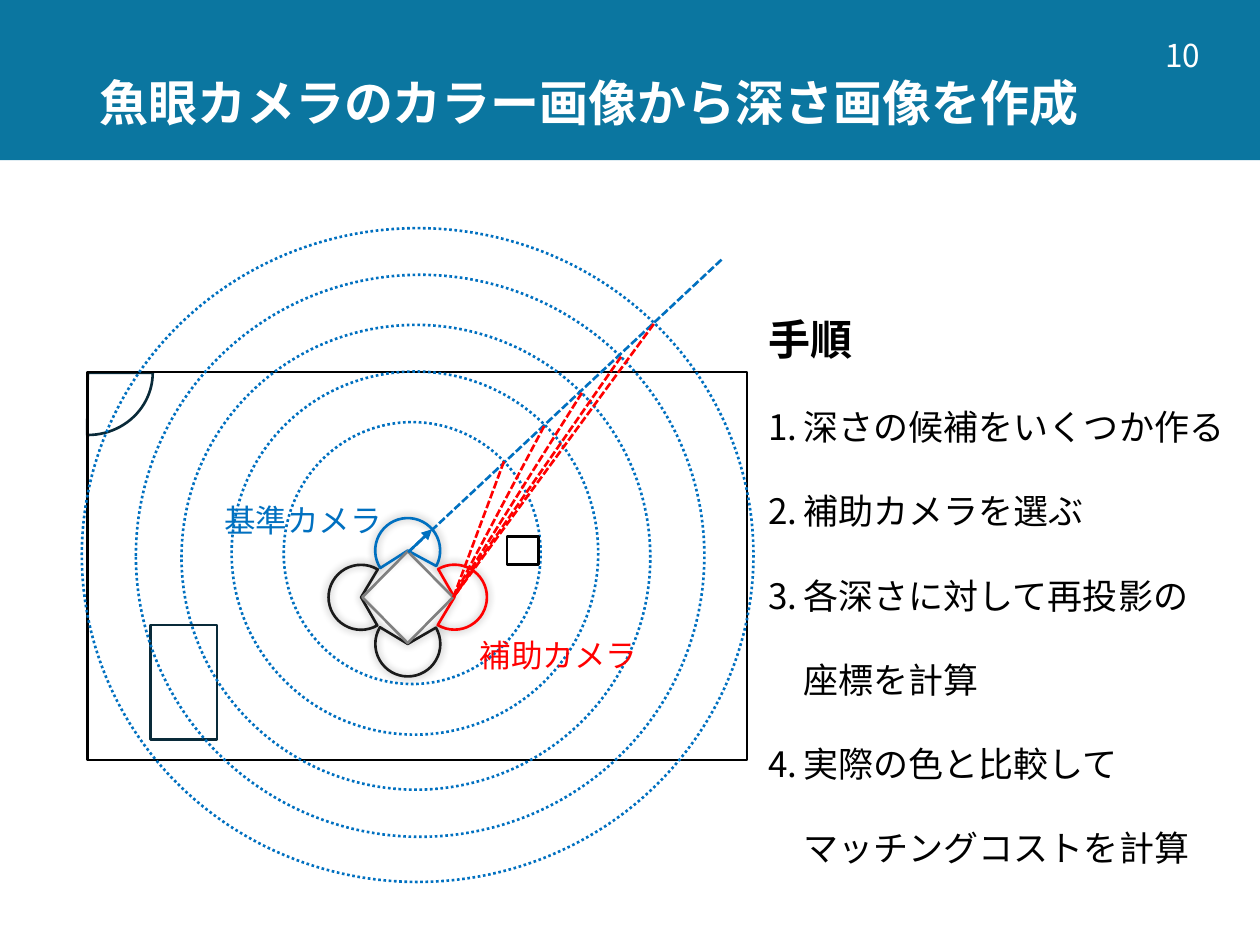
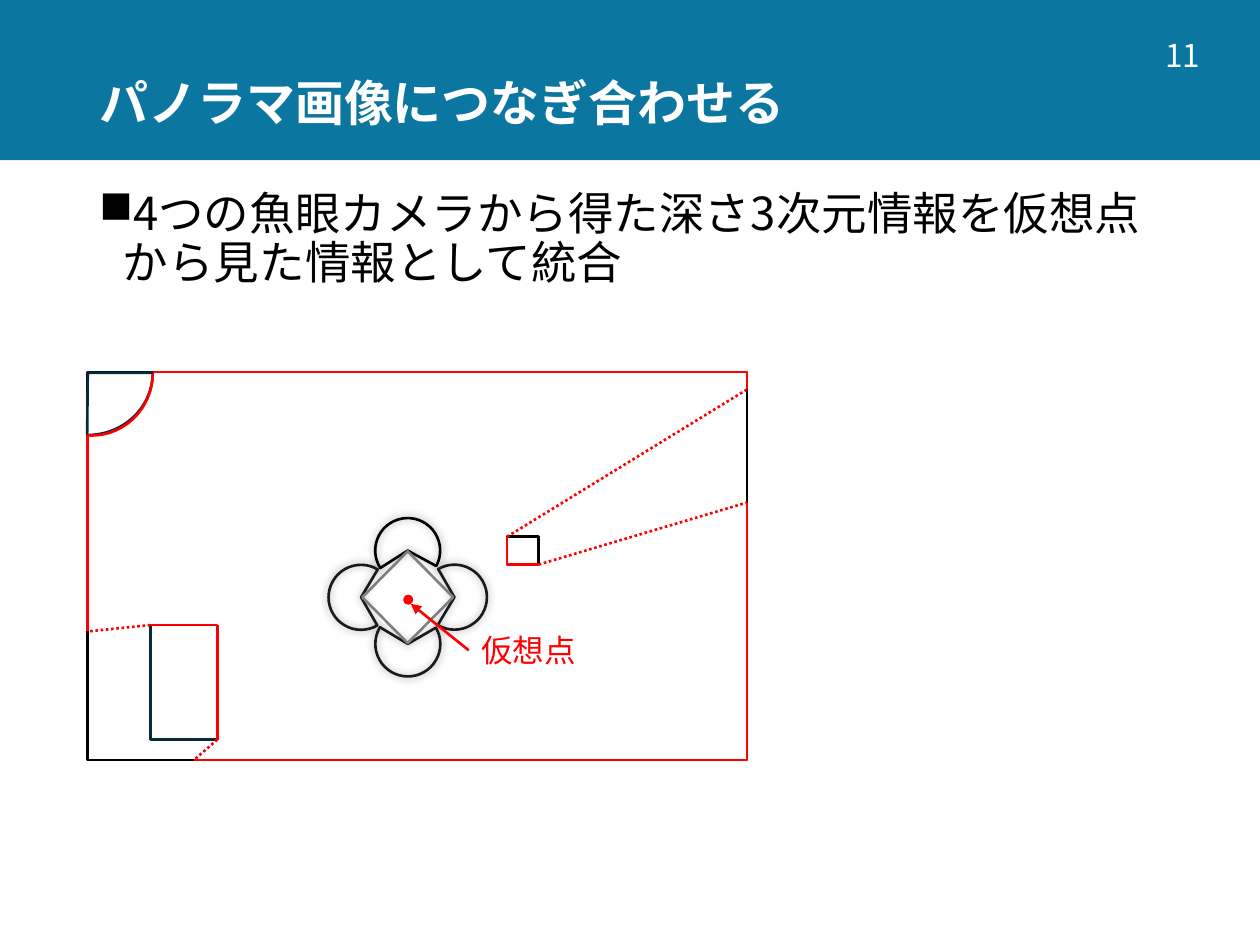
"""Build two slides on making depth images and a panorama from fisheye cameras."""
from dataclasses import dataclass
from math import cos, radians, sin

from lxml import etree
from pptx import Presentation
from pptx.dml.color import RGBColor
from pptx.enum.dml import MSO_LINE
from pptx.enum.shapes import MSO_CONNECTOR, MSO_SHAPE
from pptx.enum.text import MSO_ANCHOR, MSO_AUTO_SIZE, PP_ALIGN
from pptx.oxml.ns import qn
from pptx.util import Cm, Pt

RECTANGLE, DIAMOND = MSO_SHAPE.RECTANGLE, MSO_SHAPE.DIAMOND
CIRCLE, PIE, ARC = MSO_SHAPE.FLOWCHART_CONNECTOR, MSO_SHAPE.PIE, MSO_SHAPE.ARC
STRAIGHT = MSO_CONNECTOR.STRAIGHT
DOTTED, DASHED = MSO_LINE.ROUND_DOT, MSO_LINE.SQUARE_DOT
LEFT, CENTER = PP_ALIGN.LEFT, PP_ALIGN.CENTER
TOP, MIDDLE = MSO_ANCHOR.TOP, MSO_ANCHOR.MIDDLE
FIT_SHAPE, NO_FIT = MSO_AUTO_SIZE.SHAPE_TO_FIT_TEXT, MSO_AUTO_SIZE.NONE


@dataclass(frozen=True)
class Theme:
    font: str = "Noto Sans CJK JP"
    band: str = "0B76A0"
    white: str = "FFFFFF"
    black: str = "000000"
    camera: str = "1A1A1A"
    frame: str = "808080"
    furniture: str = "092A39"
    reference: str = "0070C0"
    highlight: str = "FF0000"
    title_size: int = 28
    body_size: int = 26
    heading_size: int = 24
    step_size: int = 20
    label_size: int = 18
    line_width: float = 1.5


THEME = Theme()

DEPTH_TITLE = "魚眼カメラのカラー画像から深さ画像を作成"
PANORAMA_TITLE = "パノラマ画像につなぎ合わせる"
PANORAMA_POINT = "4つの魚眼カメラから得た深さ3次元情報を仮想点から見た情報として統合"
STEPS_HEADING = "手順"
STEPS = [
    "深さの候補をいくつか作る",
    "補助カメラを選ぶ",
    "各深さに対して再投影の\n座標を計算",
    "実際の色と比較して\nマッチングコストを計算",
]

BAND = (0, 0, 25.4, 3.23)
TITLE_BOX = (1.75, 1.02, 21.9, 2.21)
NUMBER_BOX = (22.28, 0, 3.12, 2.21)
BODY_BOX = (1.75, 3.73, 21.9, 14.3)
STEPS_BOX = (15.24, 5.18, 10.03, 12.34)

ROOM = (1.76, 7.5, 13.3, 7.82)
CABINET = (3.03, 12.6, 1.35, 2.31)
CRATE = (10.22, 10.82, 0.64, 0.56)
CORNER = (0.46, 6.26, 2.62, 2.51)
CORNER_ARC = (0.62, 6.27, 2.46, 2.51)

RIG_CENTER = (8.22, 12.04)
CAMERA_OFFSET, CAMERA_SIZE = 0.94, 1.31
RIG_FRAME_SIZE = (1.83, 1.85)
TOP_CAMERA, RIGHT_CAMERA, BOTTOM_CAMERA, LEFT_CAMERA = 0, 90, 180, 270
CAMERA_TILT = {TOP_CAMERA: -2.5}

DEPTH_CIRCLES = [
    (1.65, 4.6, 13.54, 13.18),
    (2.74, 5.54, 11.46, 11.33),
    (3.66, 6.55, 9.45, 9.37),
    (4.67, 7.49, 7.39, 7.32),
    (5.72, 8.51, 5.18, 5.28),
]
REFERENCE_EYE, REFERENCE_RAY_END, REFERENCE_ARROW_END = (8.23, 11.13), (14.55, 5.23), (8.71, 10.67)
AUXILIARY_EYE = (9.14, 12.04)
DEPTH_CANDIDATES = [(10.16, 9.3), (10.97, 8.59), (11.73, 7.92), (12.52, 7.19), (13.18, 6.53)]


def edges(box):
    """Return the left, top, right and bottom of a box."""
    left, top, width, height = box
    return left, top, left + width, top + height


def centered(center, width, height):
    """Return the box of a given size around a centre."""
    return center[0] - width / 2, center[1] - height / 2, width, height


def color(value):
    """Turn a hex string into a colour."""
    return RGBColor.from_string(value)


def style_line(line, line_color, dash):
    """Apply the common line width with a colour and dash."""
    line.color.rgb = color(line_color)
    line.width = Pt(THEME.line_width)
    if dash:
        line.dash_style = dash


def add_shape(shapes, kind, box, fill=None, line=None, dash=None, adjustments=(), rotation=0, glow=False):
    """Add a preset shape in a box given in centimetres."""
    shape = shapes.add_shape(kind, *map(Cm, box))
    shape.shadow.inherit = False
    shape.rotation = rotation
    for index, value in enumerate(adjustments):
        shape.adjustments[index] = value
    if fill:
        shape.fill.solid()
        shape.fill.fore_color.rgb = color(fill)
    else:
        shape.fill.background()
    if line:
        style_line(shape.line, line, dash)
    else:
        shape.line.fill.background()
    if glow:
        effects = shape.element.spPr.find(qn("a:effectLst"))
        shadow = etree.SubElement(effects, qn("a:outerShdw"), blurRad=str(Pt(5)), dist="0", dir="0")
        tint = etree.SubElement(shadow, qn("a:srgbClr"), val=THEME.black)
        etree.SubElement(tint, qn("a:alpha"), val="40000")
    return shape


def add_line(shapes, start, end, line=THEME.highlight, dash=None, arrow=False):
    """Add a straight line between two points in centimetres."""
    connector = shapes.add_connector(STRAIGHT, *map(Cm, (*start, *end)))
    style_line(connector.line, line, dash)
    properties = connector.element.spPr
    if arrow:
        etree.SubElement(properties.find(qn("a:ln")), qn("a:tailEnd"), type="triangle")
    etree.SubElement(properties, qn("a:effectLst"))


def write_paragraph(paragraph, text, size=THEME.label_size, text_color=THEME.black, bold=False,
                    align=LEFT, spacing=None, bullet=None, indent=None):
    """Write formatted text into a paragraph."""
    paragraph.text = text
    paragraph.alignment = align
    if spacing:
        paragraph.line_spacing = spacing
    if bullet:
        properties = paragraph._p.get_or_add_pPr()
        margin, hanging = indent
        properties.set("marL", str(Cm(margin)))
        properties.set("indent", str(Cm(hanging)))
        tag, attributes = bullet
        etree.SubElement(properties, qn(tag), **attributes)
    for run in paragraph.runs:
        run.font.size, run.font.bold, run.font.name = Pt(size), bold, THEME.font
        run.font.color.rgb = color(text_color)
        etree.SubElement(run._r.get_or_add_rPr(), qn("a:ea"), typeface=THEME.font)


def add_text(slide, box, text, wrap=True, anchor=TOP, fit=NO_FIT, **text_format):
    """Add a text box holding one formatted paragraph and return its frame."""
    frame = slide.shapes.add_textbox(*map(Cm, box)).text_frame
    frame.word_wrap, frame.vertical_anchor, frame.auto_size = wrap, anchor, fit
    write_paragraph(frame.paragraphs[0], text, **text_format)
    return frame


def add_titled_slide(presentation, layout, title, number):
    """Add a slide with its title and page number."""
    slide = presentation.slides.add_slide(layout)
    shape = slide.shapes.title
    shape.left, shape.top, shape.width, shape.height = map(Cm, TITLE_BOX)
    shape.text_frame.vertical_anchor, shape.text_frame.auto_size = MIDDLE, NO_FIT
    write_paragraph(shape.text_frame.paragraphs[0], title, size=THEME.title_size,
                    text_color=THEME.white, bold=True, spacing=0.9)
    add_text(slide, NUMBER_BOX, str(number), anchor=MIDDLE, text_color=THEME.white, align=CENTER)
    return slide


def add_furniture(slide):
    """Add the corner shelf and the cabinet."""
    add_shape(slide.shapes, PIE, CORNER, THEME.white, THEME.furniture, adjustments=(0, 54.33))
    add_shape(slide.shapes, RECTANGLE, CABINET, THEME.white, THEME.furniture)


def add_room(slide):
    """Add the walls of the room."""
    add_shape(slide.shapes, RECTANGLE, ROOM, line=THEME.black)


def add_crate(slide):
    """Add the small box in the room."""
    add_shape(slide.shapes, RECTANGLE, CRATE, THEME.white, THEME.black)


def add_rig(slide, camera_colors):
    """Add four cameras facing outwards around a diamond frame."""
    rig = slide.shapes.add_group_shape().shapes
    for angle in (TOP_CAMERA, RIGHT_CAMERA, LEFT_CAMERA, BOTTOM_CAMERA):
        center = (RIG_CENTER[0] + CAMERA_OFFSET * sin(radians(angle)),
                  RIG_CENTER[1] - CAMERA_OFFSET * cos(radians(angle)))
        add_shape(rig, PIE, centered(center, CAMERA_SIZE, CAMERA_SIZE),
                  line=camera_colors.get(angle, THEME.camera), adjustments=(89.98, 18.58),
                  rotation=angle + CAMERA_TILT.get(angle, 0), glow=True)
    add_shape(rig, DIAMOND, centered(RIG_CENTER, *RIG_FRAME_SIZE), line=THEME.frame)


def build_depth_slide(presentation, layout):
    """Show depth candidates, rays and the procedure."""
    slide = add_titled_slide(presentation, layout, DEPTH_TITLE, 10)
    shapes = slide.shapes
    add_furniture(slide)
    add_rig(slide, {TOP_CAMERA: THEME.reference, RIGHT_CAMERA: THEME.highlight})
    add_room(slide)
    for circle in DEPTH_CIRCLES:
        add_shape(shapes, CIRCLE, circle, line=THEME.reference, dash=DOTTED)
    add_line(shapes, REFERENCE_EYE, REFERENCE_RAY_END, THEME.reference, DASHED)
    for candidate in DEPTH_CANDIDATES:
        add_line(shapes, candidate, AUXILIARY_EYE, dash=DASHED)
    add_crate(slide)
    add_line(shapes, REFERENCE_EYE, REFERENCE_ARROW_END, THEME.reference, arrow=True)
    add_text(slide, (9.42, 12.7, 3.71, 1.02), "補助カメラ", wrap=False, fit=FIT_SHAPE,
             text_color=THEME.highlight)
    add_text(slide, (4.27, 9.98, 4.88, 1.02), "基準カメラ", fit=FIT_SHAPE, text_color=THEME.reference)
    frame = add_text(slide, STEPS_BOX, STEPS_HEADING, wrap=False, fit=FIT_SHAPE,
                     size=THEME.heading_size, bold=True, spacing=2.0)
    for step in STEPS:
        write_paragraph(frame.add_paragraph(), step, size=THEME.step_size, spacing=2.0,
                        bullet=("a:buAutoNum", {"type": "arabicPeriod"}), indent=(0.71, -0.94))


def add_visible_outline(slide):
    """Trace in red what can be seen from the virtual point."""
    left, top, right, bottom = edges(ROOM)
    crate_left, crate_top, crate_right, crate_bottom = edges(CRATE)
    cabinet_left, cabinet_top, cabinet_right, cabinet_bottom = edges(CABINET)
    _, _, arc_right, arc_bottom = edges(CORNER_ARC)
    hidden_top, hidden_bottom, hidden_left, hidden_floor = 7.85, 10.13, 12.73, 3.91
    seen = [
        ((right, hidden_top), (right, top)),
        ((crate_left, crate_top), (crate_left, crate_bottom)),
        ((crate_left, crate_bottom), (crate_right, crate_bottom)),
        ((left, arc_bottom), (left, hidden_left)),
        ((cabinet_left, cabinet_top), (cabinet_right, cabinet_top)),
        ((cabinet_right, cabinet_top), (cabinet_right, cabinet_bottom)),
        ((arc_right, top), (right, top)),
        ((right, hidden_bottom), (right, bottom)),
        ((hidden_floor, bottom), (right, bottom)),
    ]
    sight_lines = [
        ((crate_left, crate_top), (right, hidden_top)),
        ((crate_right, crate_bottom), (right, hidden_bottom)),
        ((cabinet_left, cabinet_top), (left, hidden_left)),
        ((cabinet_right, cabinet_bottom), (hidden_floor, bottom)),
    ]
    outline = slide.shapes.add_group_shape().shapes
    for dash, segments in ((None, seen), (DOTTED, sight_lines)):
        for start, end in segments:
            add_line(outline, start, end, dash=dash)
    add_shape(outline, ARC, CORNER_ARC, line=THEME.highlight, adjustments=(0.23, 56.7))


def build_panorama_slide(presentation, layout):
    """Show the scene merged as seen from a virtual point."""
    slide = add_titled_slide(presentation, layout, PANORAMA_TITLE, 11)
    add_text(slide, BODY_BOX, PANORAMA_POINT, size=THEME.body_size, spacing=0.9,
             bullet=("a:buChar", {"char": "■"}), indent=(0.48, -0.48))
    add_rig(slide, {TOP_CAMERA: THEME.black})
    add_room(slide)
    add_shape(slide.shapes, CIRCLE, (8.13, 11.99, 0.2, 0.2), THEME.highlight)
    add_crate(slide)
    add_furniture(slide)
    add_visible_outline(slide)
    add_text(slide, (9.45, 12.6, 2.44, 1.02), "仮想点", wrap=False, fit=FIT_SHAPE,
             text_color=THEME.highlight)
    add_line(slide.shapes, (9.45, 13.11), (8.28, 12.17), arrow=True)


def main():
    """Build and save the presentation."""
    presentation = Presentation()
    presentation.slide_width, presentation.slide_height = Cm(25.4), Cm(19.05)
    layout = presentation.slide_layouts.get_by_name("Title Only")
    build_depth_slide(presentation, layout)
    build_panorama_slide(presentation, layout)
    band = add_shape(presentation.slides[0].shapes, RECTANGLE, BAND, THEME.band)
    layout.shapes.element.insert(2, band.element)
    presentation.save("out.pptx")


if __name__ == "__main__":
    main()
